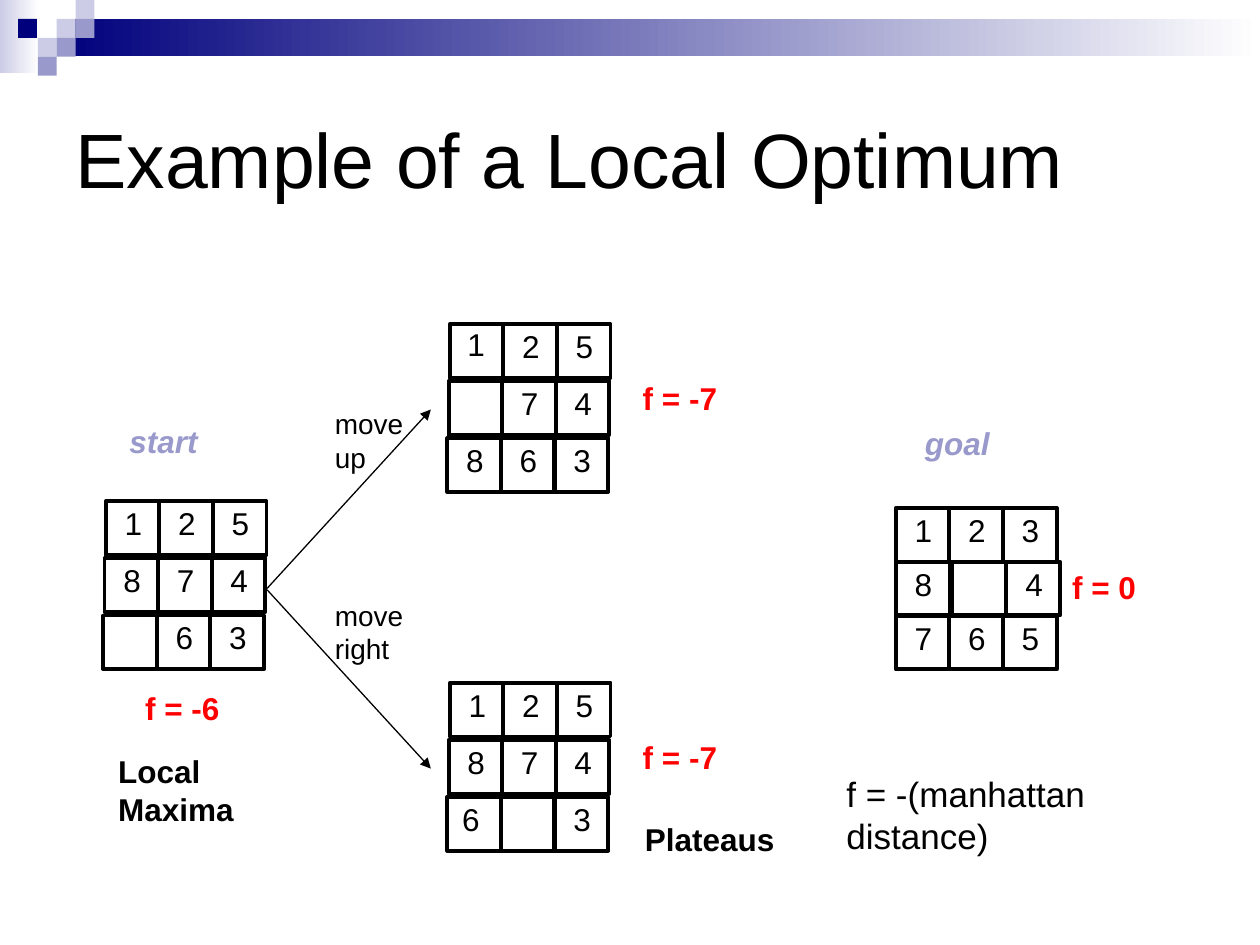
from lxml.etree import SubElement
from pptx import Presentation
from pptx.dml.color import RGBColor
from pptx.enum.shapes import MSO_CONNECTOR as CONN, MSO_SHAPE as SHAPE
from pptx.enum.text import MSO_ANCHOR as ANCHOR, PP_ALIGN as ALIGN
from pptx.oxml.ns import qn
from pptx.util import Pt

COLORS = {
    "black": "000000", "white": "FFFFFF", "navy": "00007D",
    "pale": "CCCCE6", "lilac": "9999CC", "red": "FF0000",
}
TILE = 30.7


def rgb(name):
    return RGBColor.from_string(COLORS[name])


def add_rect(s, x, y, w, h):
    sp = s.shapes.add_shape(SHAPE.RECTANGLE, Pt(x), Pt(y), Pt(w), Pt(h))
    sp.shadow.inherit = False
    return sp


def add_text(s, x, y, w, h, lines, size=18, color="black", bold=False,
             italic=False, align=ALIGN.LEFT, anchor=ANCHOR.TOP, wrap=True):
    tf = s.shapes.add_textbox(Pt(x), Pt(y), Pt(w), Pt(h)).text_frame
    tf.word_wrap = wrap
    tf.vertical_anchor = anchor
    tf.text = lines
    for p in tf.paragraphs:
        p.alignment = align
        p.font.name = "Arial"
        p.font.size = Pt(size)
        p.font.bold = bold
        p.font.italic = italic
        p.font.color.rgb = rgb(color)


def add_banner(s, x, y, w):
    gradients = [(0, 0, 22.5, 41.8, "pale"), (32.4, 10.8, w - 32.4, 21.4, "navy")]
    for dx, dy, width, height, color in gradients:
        sp = add_rect(s, x + dx, y + dy, width, height)
        sp.line.fill.background()
        sp.fill.gradient()
        sp.fill.gradient_angle = 0
        for stop, name in zip(sp.fill.gradient_stops, (color, "white")):
            stop.color.rgb = rgb(name)
    squares = [
        (32.4, 10.8, "pale"), (43.2, 0, "pale"), (43.2, 10.8, "lilac"),
        (21.6, 21.6, "pale"), (10.3, 10.8, "navy"), (32.4, 21.6, "lilac"),
        (21.6, 32.4, "lilac"),
    ]
    for dx, dy, color in squares:
        sp = add_rect(s, x + dx, y + dy, 10.8, 10.8)
        sp.line.fill.background()
        sp.fill.solid()
        sp.fill.fore_color.rgb = rgb(color)


def add_board(s, x, y, rows, pitch=32.6, slant=-0.7, tile_shifts=None, digit_shifts=None):
    for i, row in enumerate(rows):
        for j, digit in enumerate(row):
            left = x + j * 30.6 + i * slant + (tile_shifts or {}).get((i, j), 0)
            top = y + i * pitch
            sp = add_rect(s, left, top, TILE, TILE)
            sp.fill.background()
            sp.line.color.rgb = rgb("black")
            sp.line.width = Pt(2.25)
            if digit != " ":
                dx, dy = (digit_shifts or {}).get((i, j), (0, 0))
                add_text(s, left + 3.7 + dx, top - 1.8 + dy, 26.6, 36, digit, wrap=False)


def add_arrow(s, x1, y1, x2, y2):
    line = s.shapes.add_connector(CONN.STRAIGHT, Pt(x1), Pt(y1), Pt(x2), Pt(y2))
    line.line.color.rgb = rgb("black")
    line.line.width = Pt(0.75)
    SubElement(line.line._get_or_add_ln(), qn("a:tailEnd"), type="triangle")
    SubElement(line._element.spPr, qn("a:effectLst"))


def add_start(s, x, y):
    add_text(s, x + 6.5, y - 49, 58.3, 36, "start", color="lilac", bold=True, italic=True, wrap=False)
    add_board(s, x, y, ["125", "874", " 63"])
    add_text(s, x + 9.6, y + 103.7, 68.4, 36, "f = -6", color="red", bold=True,
             align=ALIGN.CENTER, wrap=False)
    add_text(s, x, y + 139.7, 123.8, 65.5, "Local\vMaxima", bold=True)


def add_successor(s, x, y, rows, digit_shifts):
    add_board(s, x, y, rows, digit_shifts=digit_shifts)
    add_text(s, x + 103.2, y + 28, 68.4, 36, "f = -7", color="red", bold=True, wrap=False)


def add_move(s, x, y, move, arrow):
    add_arrow(s, *arrow)
    add_text(s, x, y, 54, 46, move, size=16, wrap=False)


def add_goal(s, x, y):
    add_text(s, x + 9.5, y - 51.2, 56.9, 36, "goal", color="lilac", bold=True, italic=True, wrap=False)
    add_board(s, x, y, ["123", "8 4", "765"], pitch=30.8, slant=0,
              tile_shifts={(1, 1): 1.4, (1, 2): 2})
    add_text(s, x + 93.7, y + 31, 60.5, 36, "f = 0", color="red", bold=True, wrap=False)
    add_text(s, x - 35.3, y + 147.6, 216, 31, "f = -(manhattan distance)", size=20)


def main():
    prs = Presentation()
    prs.slide_width, prs.slide_height = Pt(720), Pt(540)
    s = prs.slides.add_slide(prs.slide_layouts[6])
    add_banner(s, 0, 0, 720)
    add_text(s, 36, 36, 648, 108, "Example of a Local Optimum", size=44, anchor=ANCHOR.MIDDLE)
    add_start(s, 60.4, 286.5)
    add_successor(s, 257, 185.2, ["125", " 74", "863"], {(0, 0): (-0.7, -1.4)})
    add_successor(s, 257, 390.2, ["125", "874", "6 3"], {(2, 0): (-2.3, 0)})
    add_move(s, 184.3, 229, "move\nup", (152.6, 336.3, 246.2, 234))
    add_move(s, 184.3, 338.4, "move\nright", (152.6, 337, 246.2, 439.2))
    add_text(s, 361.4, 465.1, 123.8, 36.7, "Plateaus", bold=True)
    add_goal(s, 511.9, 290.2)
    prs.save("out.pptx")


if __name__ == "__main__":
    main()
